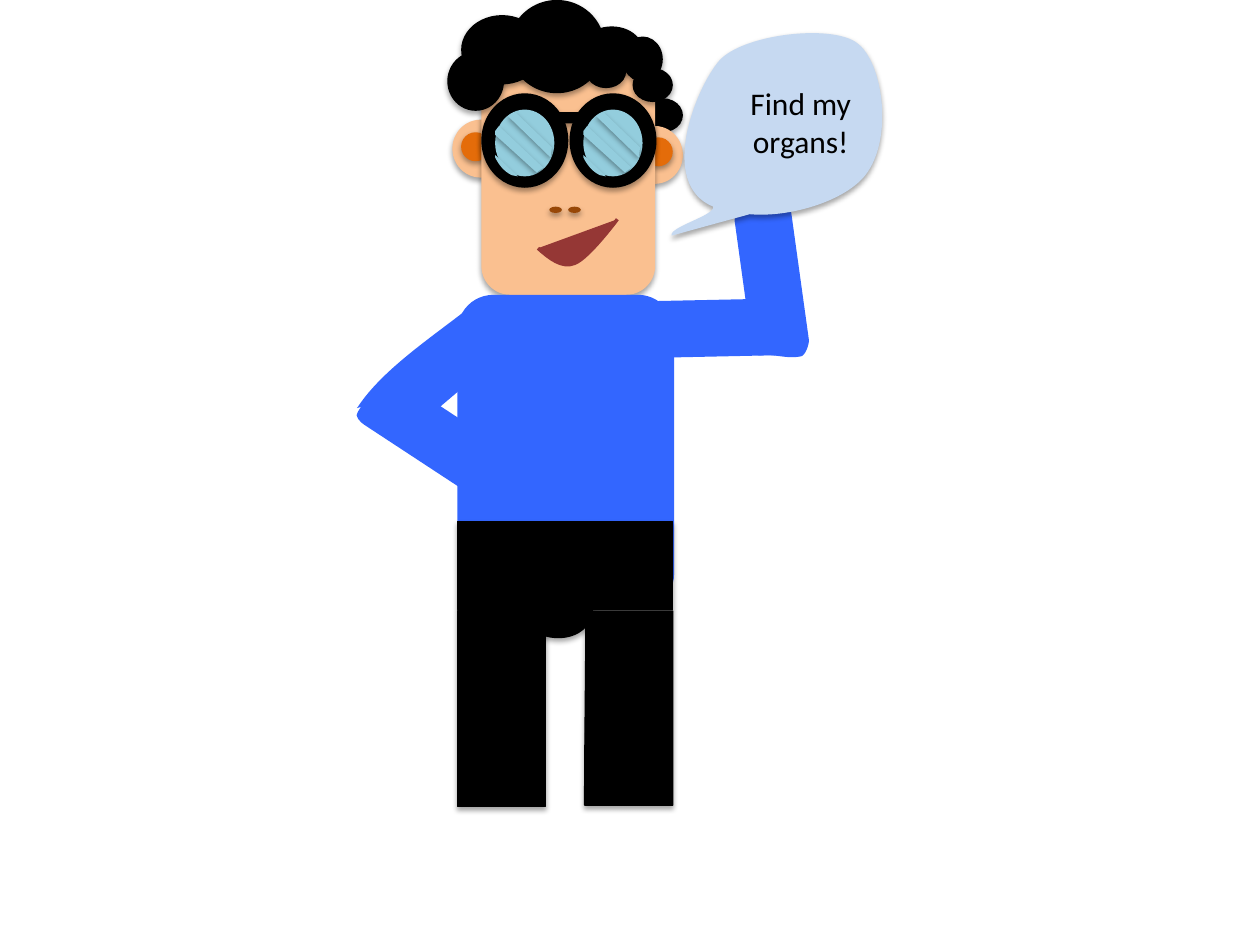
from lxml.etree import SubElement
from pptx import Presentation
from pptx.dml.color import RGBColor
from pptx.enum.shapes import MSO_SHAPE
from pptx.enum.text import MSO_ANCHOR, PP_ALIGN
from pptx.oxml.ns import qn
from pptx.util import Inches, Pt

THEME = {
    "black": "000000", "shirt": "3366FF", "skin": "FAC090", "ear": "E46C0A",
    "lens": "93CDDD", "nostril": "984807", "mouth": "953735",
    "balloon": "C6D9F1", "font": "Calibri", "size": 18,
}
OVAL, BOX = MSO_SHAPE.OVAL, MSO_SHAPE.RECTANGLE
ROUND, CHORD = MSO_SHAPE.ROUNDED_RECTANGLE, MSO_SHAPE.CHORD


def paint(shape, color, line=0, shadow=True):
    """Set the fill, outline width in points and soft shadow of a shape."""
    rgb = RGBColor.from_string(THEME[color])
    shape.fill.solid()
    shape.fill.fore_color.rgb = rgb
    if line:
        shape.line.color.rgb = rgb
        shape.line.width = Pt(line)
    else:
        shape.line.fill.background()
    shape.shadow.inherit = False
    if shadow:
        effects = shape.element.spPr.find(qn("a:effectLst"))
        outer = SubElement(effects, qn("a:outerShdw"), blurRad=str(Pt(3.1)),
                           dist=str(Pt(1.8)), dir="5400000", rotWithShape="0")
        tint = SubElement(outer, qn("a:srgbClr"), val=THEME["black"])
        SubElement(tint, qn("a:alpha"), val="35000")


def outline(shapes, contours, closed=True):
    """Draw contours: a start point, then lines (2 numbers) or curves (6)."""
    builder = None
    steps = []
    for start, *segments in contours:
        x, y = map(Inches, start)
        if builder is None:
            builder = shapes.build_freeform(x, y, 1)
        else:
            builder.move_to(x, y)
        points = [(Inches(part[i]), Inches(part[i + 1]))
                  for part in segments for i in range(0, len(part), 2)]
        builder.add_line_segments(points, close=closed)
        steps += segments
    shape = builder.convert_to_shape()
    lines = iter(list(shape.element.iter(qn("a:lnTo"))))
    for part in steps:
        first = next(lines)
        if len(part) == 6:
            first.tag = qn("a:cubicBezTo")
            for _ in range(2):
                extra = next(lines)
                first.append(extra[0])
                extra.getparent().remove(extra)
    return shape


upper_left_arm = [[
    (3.79, 2.39), (3.82, 2.36, 3.87, 2.36, 3.9, 2.39), (4.09, 2.62),
    (4.12, 2.65, 4.11, 2.7, 4.08, 2.73), (3.21, 3.47),
    (3.17, 3.5, 3.12, 3.5, 3.1, 3.47), (2.9, 3.24),
    (2.87, 3.21, 2.81, 3.26, 2.84, 3.23), (3.05, 2.91, 3.5, 2.63, 3.79, 2.39)]]
lower_left_arm = [[
    (2.89, 3.37), (2.86, 3.35, 2.81, 3.3, 2.84, 3.27),
    (2.89, 3.18, 2.98, 3.1, 3.04, 3.01), (3.06, 2.98, 3.11, 2.97, 3.14, 2.99),
    (4.1, 3.62), (4.14, 3.64, 4.15, 3.69, 4.12, 3.73), (3.96, 3.98),
    (3.93, 4.01, 3.89, 4.02, 3.85, 4), (2.89, 3.37)]]
raised_forearm = [[
    (6.42, 2.7), (6.42, 2.74, 6.39, 2.83, 6.35, 2.83),
    (6.25, 2.85, 6.15, 2.81, 6.05, 2.82), (6.01, 2.83, 5.97, 2.8, 5.97, 2.76),
    (5.83, 1.75), (5.83, 1.71, 5.85, 1.67, 5.9, 1.67), (6.19, 1.62),
    (6.24, 1.62, 6.27, 1.65, 6.28, 1.69), (6.42, 2.7)]]
glare = [
    [(3.93, 1.23), (4.11, 1.4), (4.06, 1.39), (4, 1.36, 3.96, 1.31, 3.93, 1.25)],
    [(3.96, 1), (4.31, 1.33), (4.26, 1.37), (3.93, 1.07), (3.93, 1.04)],
    [(4.09, 0.89), (4.38, 1.17), (4.37, 1.25), (4.03, 0.92), (4.06, 0.9)]]
mouth = [[(4.27, 1.97), (4.36, 2.05, 4.46, 2.13, 4.56, 2.09),
          (4.67, 2.05, 4.9, 1.74, 4.9, 1.74)]]
right_leg = [[(4.65, 4.85), (5.34, 4.85), (5.34, 6.39), (4.64, 6.39),
              (4.64, 5.88, 4.65, 5.36, 4.65, 4.85)]]
balloon = [[
    (5.33, 1.87), (5.31, 1.8, 5.68, 1.71, 5.66, 1.64),
    (5.22, 1.46, 5.52, 0.7, 5.71, 0.48), (5.9, 0.27, 6.6, 0.19, 6.8, 0.34),
    (7, 0.48, 7.09, 1.06, 6.89, 1.36), (6.75, 1.58, 6.29, 1.73, 5.95, 1.7),
    (5.33, 1.87)]]

deck = Presentation()
deck.slide_width, deck.slide_height = Inches(10), Inches(7.5)
page = deck.slides.add_slide(deck.slide_layouts[6])
figure = page.shapes.add_group_shape().shapes

for arm in (upper_left_arm, lower_left_arm):
    paint(outline(figure, arm), "shirt", shadow=False)

head = [
    (OVAL, "black", 5.1, 0.78, 0.32, 0.27),
    (OVAL, "skin", 4.97, 1, 0.45, 0.46),
    (OVAL, "ear", 5.11, 1.09, 0.23, 0.23),
    (OVAL, "skin", 3.59, 0.95, 0.45, 0.46),
    (OVAL, "ear", 3.66, 1.05, 0.23, 0.23),
    (ROUND, "skin", 3.82, 0.43, 1.38, 1.91),
]
for kind, color, *place in head:
    paint(figure.add_shape(kind, *map(Inches, place)), color)

for shift in (0, 0.7):
    rim = figure.add_shape(OVAL, *map(Inches, (3.82 + shift, 0.74, 0.69, 0.75)))
    paint(rim, "black")
    lens = figure.add_shape(OVAL, *map(Inches, (3.93 + shift, 0.87, 0.47, 0.53)))
    paint(lens, "lens")
    stripes = outline(figure, glare)
    stripes.left += Inches(shift)
    paint(stripes, "lens")

face_and_hair = [
    (BOX, "black", 4.4, 0.89, 0.23, 0.09),
    (OVAL, "nostril", 4.36, 1.64, 0.1, 0.05),
    (OVAL, "nostril", 4.51, 1.64, 0.1, 0.05),
    (OVAL, "black", 4.04, 0, 0.76, 0.74),
    (OVAL, "black", 3.66, 0.12, 0.65, 0.55),
    (OVAL, "black", 4.65, 0.43, 0.32, 0.27),
    (OVAL, "black", 3.55, 0.41, 0.45, 0.47),
    (OVAL, "black", 4.61, 0.21, 0.49, 0.37),
    (OVAL, "black", 4.94, 0.29, 0.32, 0.36),
    (OVAL, "black", 5.02, 0.54, 0.32, 0.27),
]
for kind, color, *place in face_and_hair:
    paint(figure.add_shape(kind, *map(Inches, place)), color)
paint(outline(figure, mouth, closed=False), "mouth", line=2, shadow=False)

shirt = figure.add_shape(ROUND, *map(Inches, (3.63, 2.34, 1.72, 2.5)))
paint(shirt, "shirt", shadow=False)
left_leg = figure.add_shape(BOX, *map(Inches, (3.63, 4.85, 0.7, 1.55)))
paint(left_leg, "black", line=0.75)
paint(outline(figure, right_leg), "black", line=0.75)
hips = figure.add_shape(BOX, *map(Inches, (3.63, 4.14, 1.71, 0.7)))
paint(hips, "black", line=0.75)
seat = figure.add_shape(CHORD, *map(Inches, (4.12, 4.46, 0.52, 0.66)))
seat.rotation = 291.7
paint(seat, "black", line=0.75)

sleeve = figure.add_shape(ROUND, *map(Inches, (5.08, 2.38, 1.17, 0.45)))
sleeve.rotation = 358.8
paint(sleeve, "shirt", shadow=False)
paint(outline(figure, raised_forearm), "shirt", shadow=False)
paint(outline(figure, balloon), "balloon")

speech = figure.add_textbox(*map(Inches, (5.71, 0.62, 1.29, 0.71)))
frame = speech.text_frame
for name, value in {"word_wrap": True, "vertical_anchor": MSO_ANCHOR.TOP}.items():
    setattr(frame, name, value)
para = frame.paragraphs[0]
para.alignment = PP_ALIGN.CENTER
span = para.add_run()
span.text = "Find my organs!"
for name, value in {"name": THEME["font"], "size": Pt(THEME["size"])}.items():
    setattr(span.font, name, value)
span.font.color.rgb = RGBColor.from_string(THEME["black"])

deck.save("out.pptx")
